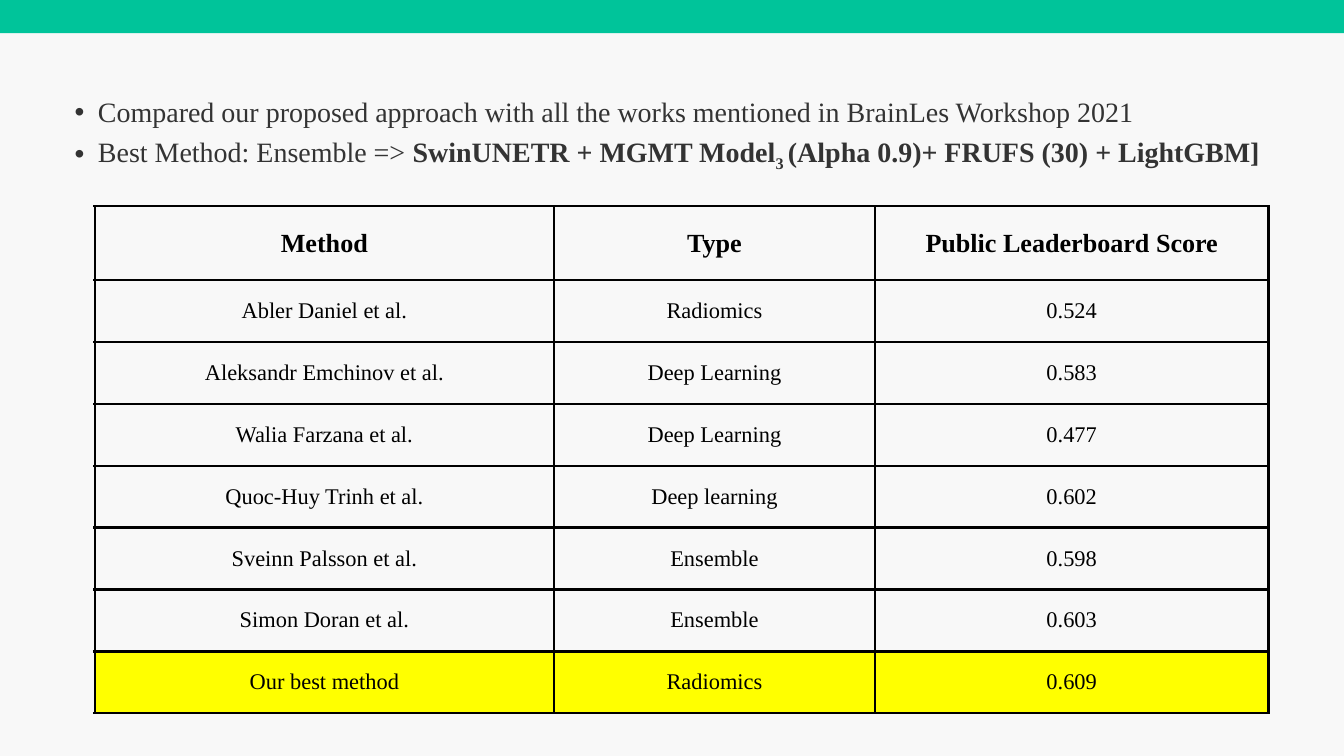
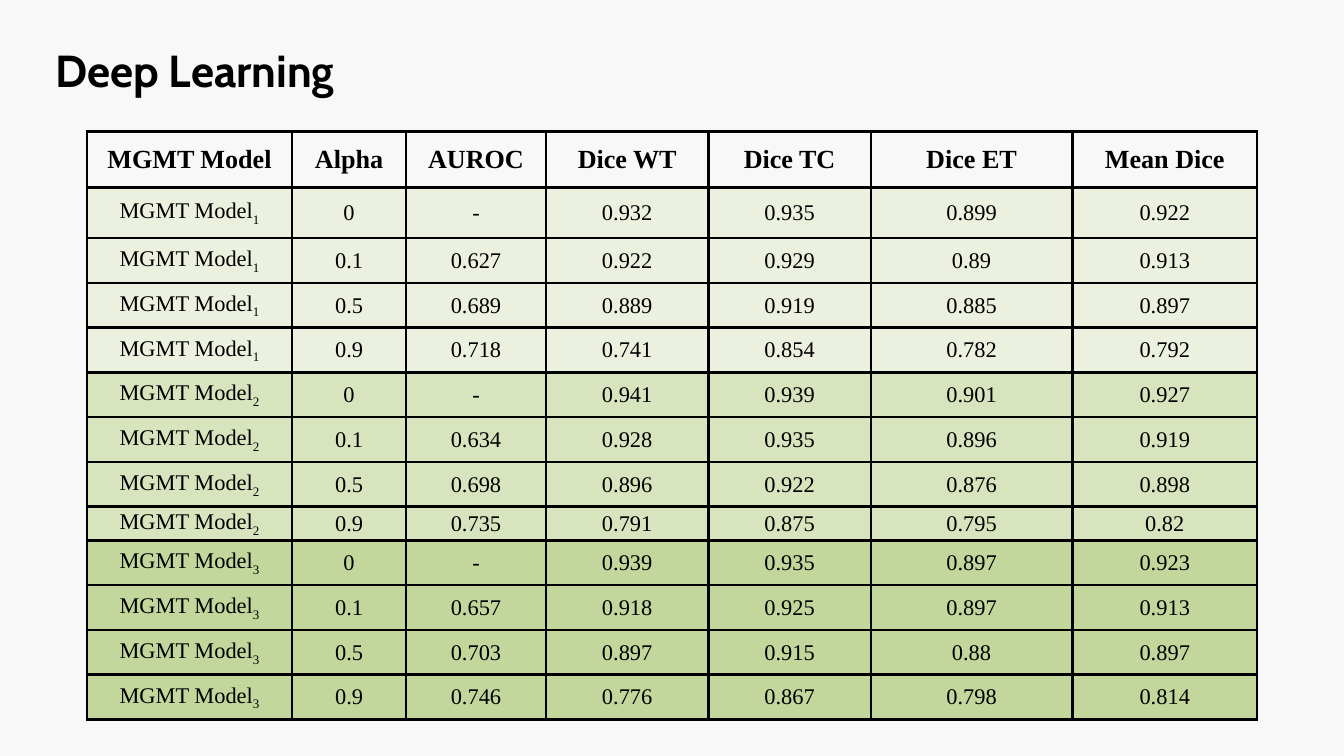
"""Builds two slides that compare methods and deep learning models in tables."""
from lxml import etree
from pptx import Presentation
from pptx import util as u
from pptx.dml.color import RGBColor
from pptx.enum import shapes, text
from pptx.oxml import ns

COLOURS = {
    "background": "F8F8F8",
    "band": "00C49A",
    "ink": "000000",
    "body": "333333",
    "highlight": "FFFF00",
}
MODEL_FILLS = {"1": "EBF1DE", "2": "D7E4BD", "3": "C3D69B"}
TITLE_FONT = "Cabin"
BODY_FONT = "Times New Roman"
HEADER_SIZE, CELL_SIZE, BULLET_SIZE, TITLE_SIZE = 28, 24, 30, 48

BULLETS = [
    [("Compared our proposed approach with all the works mentioned in BrainLes Workshop 2021", "plain")],
    [
        ("Best Method: Ensemble => ", "plain"),
        ("SwinUNETR + MGMT Model", "bold"),
        ("3 ", "bold sub"),
        ("(Alpha 0.9)+ FRUFS (30) + LightGBM]", "bold"),
    ],
]
METHODS = [
    ["Method", "Type", "Public Leaderboard Score"],
    ["Abler Daniel et al.", "Radiomics", "0.524"],
    ["Aleksandr Emchinov et al.", "Deep Learning", "0.583"],
    ["Walia Farzana et al.", "Deep Learning", "0.477"],
    ["Quoc-Huy Trinh et al.", "Deep learning", "0.602"],
    ["Sveinn Palsson et al.", "Ensemble", "0.598"],
    ["Simon Doran et al.", "Ensemble", "0.603"],
    ["Our best method", "Radiomics", "0.609"],
]
SCORE_HEADER = ["MGMT Model", "Alpha", "AUROC", "Dice WT", "Dice TC", "Dice ET", "Mean Dice"]
MODEL_SCORES = {
    "1": [
        "0 - 0.932 0.935 0.899 0.922",
        "0.1 0.627 0.922 0.929 0.89 0.913",
        "0.5 0.689 0.889 0.919 0.885 0.897",
        "0.9 0.718 0.741 0.854 0.782 0.792",
    ],
    "2": [
        "0 - 0.941 0.939 0.901 0.927",
        "0.1 0.634 0.928 0.935 0.896 0.919",
        "0.5 0.698 0.896 0.922 0.876 0.898",
        "0.9 0.735 0.791 0.875 0.795 0.82",
    ],
    "3": [
        "0 - 0.939 0.935 0.897 0.923",
        "0.1 0.657 0.918 0.925 0.897 0.913",
        "0.5 0.703 0.897 0.915 0.88 0.897",
        "0.9 0.746 0.776 0.867 0.798 0.814",
    ],
}


def colour(value):
    """Return the colour for a hex string."""
    return RGBColor.from_string(value)


def style_span(span, size, ink, font=BODY_FONT, bold=False, sub=False):
    """Format one run, lowering it when it is a subscript."""
    span.font.name = font
    span.font.size = u.Pt(size)
    span.font.bold = bold
    span.font.color.rgb = colour(ink)
    if sub:
        span.font._element.set("baseline", "-25000")


def write_spans(para, parts, size, ink):
    """Write (text, style) parts as formatted runs of a paragraph."""
    for words, style in parts:
        span = para.add_run()
        span.text = words
        style_span(span, size, ink, bold="bold" in style, sub="sub" in style)


def clear_margins(frame):
    """Remove the inner margins of a text frame and anchor it at the top."""
    frame.margin_left = frame.margin_right = frame.margin_top = frame.margin_bottom = 0
    frame.vertical_anchor = text.MSO_ANCHOR.TOP
    frame.auto_size = text.MSO_AUTO_SIZE.NONE
    frame.word_wrap = True


def place(shape, left, top, width, height):
    """Move and size a shape in points."""
    shape.left, shape.top = u.Pt(left), u.Pt(top)
    shape.width, shape.height = u.Pt(width), u.Pt(height)


def add_band(page, width, height):
    """Add the coloured band along the top edge."""
    band = page.shapes.add_shape(shapes.MSO_SHAPE.RECTANGLE, 0, 0, width, u.Pt(height))
    band.shadow.inherit = False
    band.fill.solid()
    band.fill.fore_color.rgb = colour(COLOURS["band"])
    band.line.fill.background()


def set_title(page, words):
    """Fill and format the title placeholder."""
    title = page.shapes.title
    place(title, 0, -1.5, 417.5, 93.5)
    frame = title.text_frame
    clear_margins(frame)
    frame.text = words
    para = frame.paragraphs[0]
    para.alignment = text.PP_ALIGN.CENTER
    para.line_spacing = u.Pt(105)
    style_span(para.runs[0], TITLE_SIZE, COLOURS["ink"], TITLE_FONT, bold=True)


def add_bullets(page, items, left, top, width, height):
    """Add a text box with one bulleted paragraph per item."""
    box = page.shapes.add_textbox(u.Pt(left), u.Pt(top), u.Pt(width), u.Pt(height))
    frame = box.text_frame
    clear_margins(frame)
    for index, parts in enumerate(items):
        para = frame.add_paragraph() if index else frame.paragraphs[0]
        para.level = 1
        para.line_spacing = u.Pt(48)
        write_spans(para, parts, BULLET_SIZE, COLOURS["body"])
        properties = para._p.get_or_add_pPr()
        properties.set("marL", str(u.Pt(51)))
        properties.set("indent", str(u.Pt(-25)))
        etree.SubElement(properties, ns.qn("a:buFont"), typeface="Arial")
        etree.SubElement(properties, ns.qn("a:buChar"), char="•")


def add_borders(cell, width=3):
    """Draw a solid border on all four sides of a cell."""
    properties = cell._tc.get_or_add_tcPr()
    for side in ("lnL", "lnR", "lnT", "lnB"):
        line = etree.SubElement(properties, ns.qn(f"a:{side}"), w=str(u.Pt(width)))
        fill = etree.SubElement(line, ns.qn("a:solidFill"))
        etree.SubElement(fill, ns.qn("a:srgbClr"), val=COLOURS["ink"])


def fill_cell(cell, parts, size, fill):
    """Write, centre, border and colour one cell."""
    cell.vertical_anchor = text.MSO_ANCHOR.MIDDLE
    para = cell.text_frame.paragraphs[0]
    para.alignment = text.PP_ALIGN.CENTER
    write_spans(para, parts, size, COLOURS["ink"])
    add_borders(cell)
    if fill:
        cell.fill.solid()
        cell.fill.fore_color.rgb = colour(fill)
    else:
        cell.fill.background()


def add_grid(page, left, top, widths, heights, rows, fills, tight=False):
    """Add a bordered table whose first row is a bold header."""
    frame = page.shapes.add_table(
        len(rows), len(widths), u.Pt(left), u.Pt(top), u.Pt(sum(widths)), u.Pt(sum(heights)))
    table = frame.table
    table.first_row = table.horz_banding = False
    for column, width in zip(table.columns, widths):
        column.width = u.Pt(width)
    for index, (row, height, values, fill) in enumerate(zip(table.rows, heights, rows, fills)):
        row.height = u.Pt(height)
        for cell, value in zip(row.cells, values):
            style = "plain" if index else "bold"
            parts = [(value, style)] if isinstance(value, str) else value
            if tight and index:
                cell.margin_left = cell.margin_right = cell.margin_top = u.Pt(0.72)
                cell.margin_bottom = 0
            fill_cell(cell, parts, CELL_SIZE if index else HEADER_SIZE, fill)


def build_comparison(deck):
    """Build the slide that compares published methods."""
    page = deck.slides.add_slide(deck.slide_layouts.get_by_name("Blank"))
    add_band(page, deck.slide_width, 35.5)
    heights = [79.2] + [66.3] * 7
    fills = [None] * 7 + [COLOURS["highlight"]]
    add_grid(page, 101.5, 221, [492, 344, 421.5], heights, METHODS, fills)
    add_bullets(page, BULLETS, 54, 89.5, 1304.5, 92)


def build_model_scores(deck):
    """Build the slide that lists the scores of each model and alpha."""
    page = deck.slides.add_slide(deck.slide_layouts.get_by_name("Title Only"))
    set_title(page, "Deep Learning")
    rows, fills = [SCORE_HEADER], [None]
    for number, lines in MODEL_SCORES.items():
        for line in lines:
            rows.append([[("MGMT Model", "plain"), (number, "sub")], *line.split()])
            fills.append(MODEL_FILLS[number])
    heights = [60, 54] + [48] * 6 + [36] + [48] * 4
    widths = [220, 122, 150, 174, 174, 216, 198]
    add_grid(page, 93, 141, widths, heights, rows, fills, tight=True)


def main():
    """Build and save the deck."""
    deck = Presentation()
    deck.slide_width, deck.slide_height = u.Pt(1440), u.Pt(810)
    backdrop = deck.slide_master.background.fill
    backdrop.solid()
    backdrop.fore_color.rgb = colour(COLOURS["background"])
    build_comparison(deck)
    build_model_scores(deck)
    deck.save("out.pptx")


if __name__ == "__main__":
    main()
